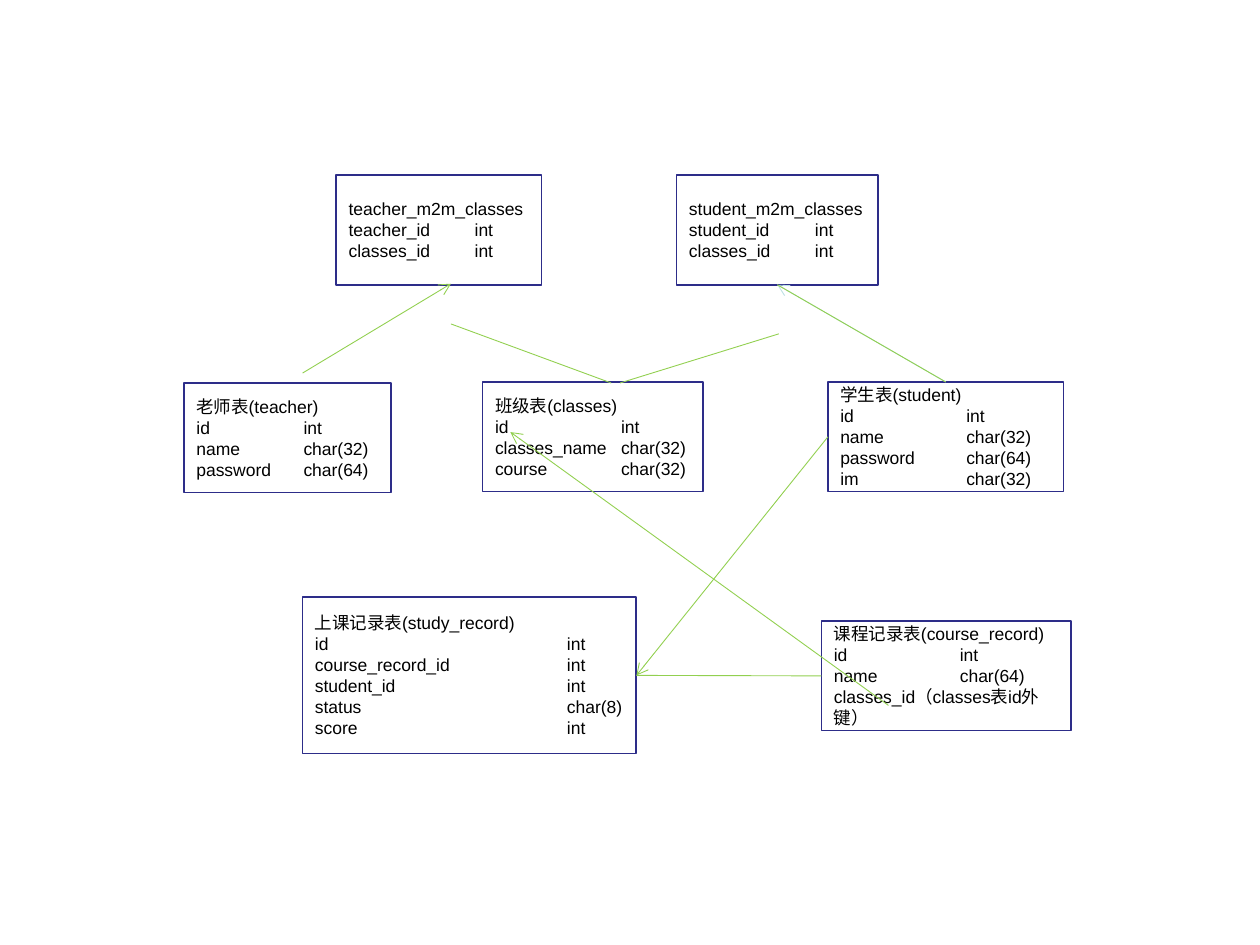
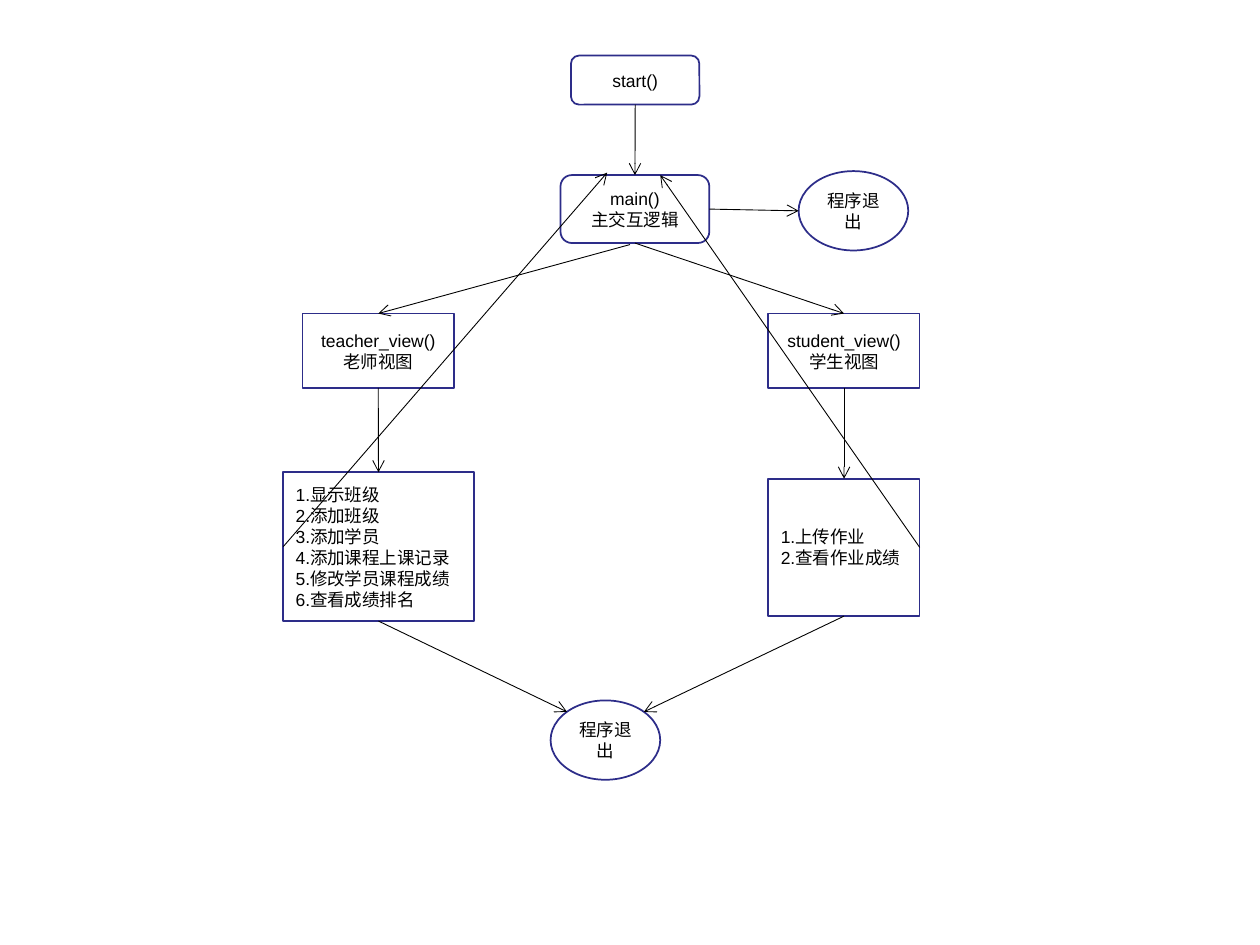
from lxml import etree
from pptx import Presentation
from pptx.dml.color import RGBColor
from pptx.enum.shapes import MSO_CONNECTOR, MSO_SHAPE
from pptx.enum.text import MSO_ANCHOR, PP_ALIGN
from pptx.oxml.ns import qn
from pptx.shapes.autoshape import Shape
from pptx.util import Cm, Pt

RECTANGLE = MSO_SHAPE.RECTANGLE
ROUNDED = MSO_SHAPE.ROUNDED_RECTANGLE
OVAL = MSO_SHAPE.OVAL
STRAIGHT = MSO_CONNECTOR.STRAIGHT
MIDDLE = MSO_ANCHOR.MIDDLE
LEFT_ALIGN, CENTER_ALIGN = PP_ALIGN.LEFT, PP_ALIGN.CENTER
TOP, LEFT, BOTTOM, RIGHT = range(4)

COLORS = {
    "paper": "FFFFFF",
    "border": "2D2D89",
    "text": "000000",
    "relation": "92D050",
    "pale": "BBE0E3",
    "flow": "000000",
}


def color(name):
    return RGBColor.from_string(COLORS[name])


class Diagram:
    """Holds the shared style and the current slide."""

    font_name = "Arial"
    font_size = Pt(10)
    border_width = Pt(1)
    line_width = Pt(0.5)

    def __init__(self, deck):
        self.deck = deck
        self.page = None

    def new_page(self):
        self.page = self.deck.slides.add_slide(self.deck.slide_layouts[6])

    def box(self, place, lines, kind=RECTANGLE, align=CENTER_ALIGN, tab=None):
        """Outlined shape with one paragraph per line; place is in cm."""
        box = self.page.shapes.add_shape(kind, *map(Cm, place))
        box.shadow.inherit = False
        box.fill.solid()
        box.fill.fore_color.rgb = color("paper")
        box.line.color.rgb = color("border")
        box.line.width = self.border_width
        frame = box.text_frame
        frame.word_wrap = True
        frame.vertical_anchor = MIDDLE
        for index, line in enumerate(lines):
            para = frame.paragraphs[0] if index == 0 else frame.add_paragraph()
            para.alignment = align
            if tab:
                self.tab_stop(para, tab)
            span = para.add_run()
            span.text = line
            span.font.name = self.font_name
            span.font.size = self.font_size
            span.font.color.rgb = color("text")
        return box

    def table_box(self, place, title, fields, tab=2.54):
        """Database table: a title, then name and type in two columns."""
        lines = [title] + ["\t".join(field) for field in fields]
        return self.box(place, lines, align=LEFT_ALIGN, tab=tab)

    def tab_stop(self, para, position):
        stops = etree.SubElement(para._p.get_or_add_pPr(), qn("a:tabLst"))
        etree.SubElement(stops, qn("a:tab"), pos=str(Cm(position)), algn="l")

    def link(self, start, end, line_color="flow", arrow=True):
        """Straight line; each end is (box, side) or (x, y) in cm."""
        points = [Cm(0) if isinstance(value, Shape) else Cm(value)
                  for value in (*start, *end)]
        line = self.page.shapes.add_connector(STRAIGHT, *points)
        if isinstance(start[0], Shape):
            line.begin_connect(*start)
        if isinstance(end[0], Shape):
            line.end_connect(*end)
        line.line.color.rgb = color(line_color)
        line.line.width = self.line_width
        if arrow:
            etree.SubElement(line.line._get_or_add_ln(), qn("a:tailEnd"), type="arrow")
        etree.SubElement(line._element.spPr, qn("a:effectLst"))


def build_tables(diagram):
    diagram.new_page()

    # Main tables
    diagram.table_box((3.71, 7.72, 4.17, 2.21), "老师表(teacher)", [
        ("id", "int"), ("name", "char(32)"), ("password", "char(64)")], tab=2.16)
    student = diagram.table_box((16.69, 7.7, 4.75, 2.21), "学生表(student)", [
        ("id", "int"), ("name", "char(32)"),
        ("password", "char(64)"), ("im", "char(32)")])
    diagram.table_box((9.73, 7.7, 4.45, 2.21), "班级表(classes)", [
        ("id", "int"), ("classes_name", "char(32)"), ("course", "char(32)")])

    # Many-to-many tables
    diagram.table_box((6.78, 3.53, 4.14, 2.21), "teacher_m2m_classes", [
        ("teacher_id", "int"), ("classes_id", "int")])
    student_classes = diagram.table_box(
        (13.64, 3.53, 4.06, 2.21), "student_m2m_classes", [
            ("student_id", "int"), ("classes_id", "int")])

    # Record tables
    course_record = diagram.table_box(
        (16.56, 12.52, 5.03, 2.21), "课程记录表(course_record)", [
            ("id", "int"), ("name", "char(64)"), ("classes_id（classes表id外键）",)])
    study_record = diagram.table_box(
        (6.1, 12.04, 6.73, 3.15), "上课记录表(study_record)", [
            ("id", "int"), ("course_record_id", "int"), ("student_id", "int"),
            ("status", "char(8)"), ("score", "int")], tab=5.08)

    # Relations
    student_top, join_bottom = (student, TOP), (student_classes, BOTTOM)
    study_right = (study_record, RIGHT)
    for start, end, line_color, arrow in [
        ((6.1, 7.52), (9.09, 5.72), "relation", True),
        ((12.32, 7.72), (9.09, 6.53), "relation", False),
        (student_top, join_bottom, "pale", True),
        (student_top, join_bottom, "relation", False),
        ((12.5, 7.72), (15.7, 6.73), "relation", False),
        ((student, LEFT), study_right, "relation", True),
        ((course_record, LEFT), study_right, "relation", False),
        ((17.91, 14.22), (10.29, 8.71), "relation", True),
    ]:
        diagram.link(start, end, line_color, arrow)


def build_flow(diagram):
    diagram.new_page()

    # Entry points and views
    start = diagram.box((11.51, 1.12, 2.59, 0.99), ["start()"], ROUNDED)
    teacher_view = diagram.box((6.1, 6.32, 3.05, 1.5), ["teacher_view()", "老师视图"])
    student_view = diagram.box((15.49, 6.32, 3.05, 1.5), ["student_view()", "学生视图"])

    # Menus
    student_menu = diagram.box(
        (15.49, 9.65, 3.05, 2.77), ["1.上传作业", "2.查看作业成绩"], align=LEFT_ALIGN)
    teacher_menu = diagram.box(
        (5.71, 9.52, 3.84, 3), [
            "1.显示班级", "2.添加班级", "3.添加学员",
            "4.添加课程上课记录", "5.修改学员课程成绩", "6.查看成绩排名"],
        align=LEFT_ALIGN)

    # Main loop and exits
    main_loop = diagram.box((11.3, 3.53, 3, 1.37), ["main()", "主交互逻辑"], ROUNDED)
    for left, top in [(16.1, 3.45), (11.1, 14.12)]:
        diagram.box((left, top, 2.21, 1.6), ["程序退出"], OVAL)

    # Flow arrows
    for begin, end in [
        ((start, BOTTOM), (main_loop, TOP)),
        ((main_loop, RIGHT), (16.1, 4.25)),
        ((12.7, 4.93), (teacher_view, TOP)),
        ((main_loop, BOTTOM), (student_view, TOP)),
        ((teacher_view, BOTTOM), (teacher_menu, TOP)),
        ((student_view, BOTTOM), (student_menu, TOP)),
        ((teacher_menu, BOTTOM), (11.43, 14.35)),
        ((student_menu, BOTTOM), (12.98, 14.35)),
        ((student_menu, RIGHT), (13.31, 3.53)),
        ((teacher_menu, LEFT), (12.24, 3.48)),
    ]:
        diagram.link(begin, end)


def main():
    deck = Presentation()
    deck.slide_width, deck.slide_height = Cm(25.4), Cm(19.05)
    diagram = Diagram(deck)
    build_tables(diagram)
    build_flow(diagram)
    deck.save("out.pptx")


if __name__ == "__main__":
    main()
